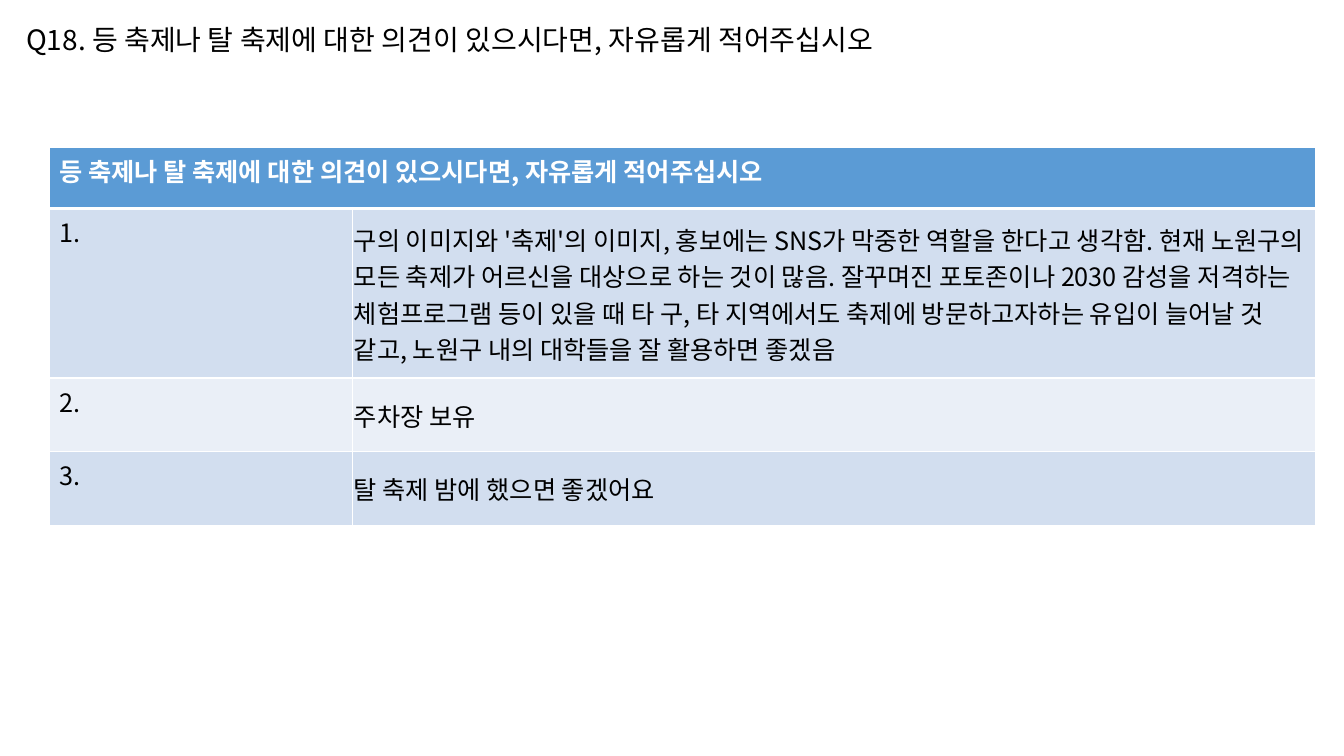
"""Build the survey slide listing free opinions on the lantern and mask festivals."""
import pptx
import pptx.util
import pptx.dml.color
import pptx.enum.text
import pptx.oxml
import pptx.oxml.ns
from dataclasses import dataclass

QUESTION = "등 축제나 탈 축제에 대한 의견이 있으시다면, 자유롭게 적어주십시오"
OPINIONS = [
    "구의 이미지와 '축제'의 이미지, 홍보에는 SNS가 막중한 역할을 한다고 생각함. "
    "현재 노원구의 모든 축제가 어르신을 대상으로 하는 것이 많음. "
    "잘꾸며진 포토존이나 2030 감성을 저격하는 체험프로그램 등이 있을 때 "
    "타 구, 타 지역에서도 축제에 방문하고자하는 유입이 늘어날 것 같고, "
    "노원구 내의 대학들을 잘 활용하면 좋겠음",
    "주차장 보유",
    "탈 축제 밤에 했으면 좋겠어요",
]
COLUMN_WIDTHS = (3.01, 9.55)
ROW_HEIGHTS = (0.61, 1.68, 0.73, 0.73)
TITLE_BOX = (0.16, 0.17, 9.59, 0.44)
TABLE_CORNER = (0.49, 1.46)


@dataclass(frozen=True)
class Theme:
    font: str = "Noto Sans CJK KR"
    title_size: int = 20
    table_size: int = 18
    text: str = "000000"
    light: str = "FFFFFF"
    header: str = "5B9BD5"
    bands: tuple = ("D2DEEF", "EAEFF7")


THEME = Theme()
Inches = pptx.util.Inches
Anchor = pptx.enum.text.MSO_ANCHOR


def rgb(value):
    return pptx.dml.color.RGBColor.from_string(value)


def write(frame, text, size, color, bold=False):
    frame.text = text
    paragraph = frame.paragraphs[0]
    paragraph.alignment = pptx.enum.text.PP_ALIGN.LEFT
    font = paragraph.font
    font.name, font.size, font.bold = THEME.font, pptx.util.Pt(size), bold
    font.color.rgb = rgb(color)
    defaults = paragraph._p.pPr.find(pptx.oxml.ns.qn("a:defRPr"))
    defaults.append(pptx.oxml.parse_xml(
        f'<a:ea {pptx.oxml.ns.nsdecls("a")} typeface="{THEME.font}"/>'))


def set_borders(cell, bottom_points=1):
    properties = cell._tc.get_or_add_tcPr()
    for index, side in enumerate("LRTB"):
        points = bottom_points if side == "B" else 1
        properties.insert(index, pptx.oxml.parse_xml(
            f'<a:ln{side} {pptx.oxml.ns.nsdecls("a")} w="{pptx.util.Pt(points)}">'
            f'<a:solidFill><a:srgbClr val="{THEME.light}"/></a:solidFill></a:ln{side}>'))


def fill_cell(cell, text, fill, color=THEME.text, bold=False, bottom_points=1):
    write(cell.text_frame, text, THEME.table_size, color, bold)
    cell.fill.solid()
    cell.fill.fore_color.rgb = rgb(fill)
    set_borders(cell, bottom_points)


def add_title(slide):
    title = slide.shapes.title
    title.left, title.top, title.width, title.height = map(Inches, TITLE_BOX)
    frame = title.text_frame
    write(frame, f"Q18. {QUESTION}", THEME.title_size, THEME.text)
    frame.word_wrap = False
    frame.auto_size = pptx.enum.text.MSO_AUTO_SIZE.SHAPE_TO_FIT_TEXT
    frame.vertical_anchor = Anchor.TOP


def add_opinion_table(slide):
    size = (sum(COLUMN_WIDTHS), sum(ROW_HEIGHTS))
    table = slide.shapes.add_table(
        len(ROW_HEIGHTS), len(COLUMN_WIDTHS), *map(Inches, TABLE_CORNER + size)).table
    for column, width in zip(table.columns, COLUMN_WIDTHS):
        column.width = Inches(width)
    for row, height in zip(table.rows, ROW_HEIGHTS):
        row.height = Inches(height)

    header = table.cell(0, 0)
    header.merge(table.cell(0, 1))
    fill_cell(header, QUESTION, THEME.header, THEME.light, bold=True, bottom_points=3)
    set_borders(table.cell(0, 1), bottom_points=3)

    for number, opinion in enumerate(OPINIONS, start=1):
        band = THEME.bands[(number - 1) % len(THEME.bands)]
        fill_cell(table.cell(number, 0), f"{number}.", band)
        answer = table.cell(number, 1)
        fill_cell(answer, opinion, band)
        answer.vertical_anchor = Anchor.MIDDLE
        answer.margin_left = answer.margin_right = answer.margin_top = Inches(0.01)
        answer.margin_bottom = 0


presentation = pptx.Presentation()
presentation.slide_width, presentation.slide_height = Inches(13.33), Inches(7.5)
slide = presentation.slides.add_slide(presentation.slide_layouts.get_by_name("Title Only"))
add_title(slide)
add_opinion_table(slide)
presentation.save("out.pptx")
